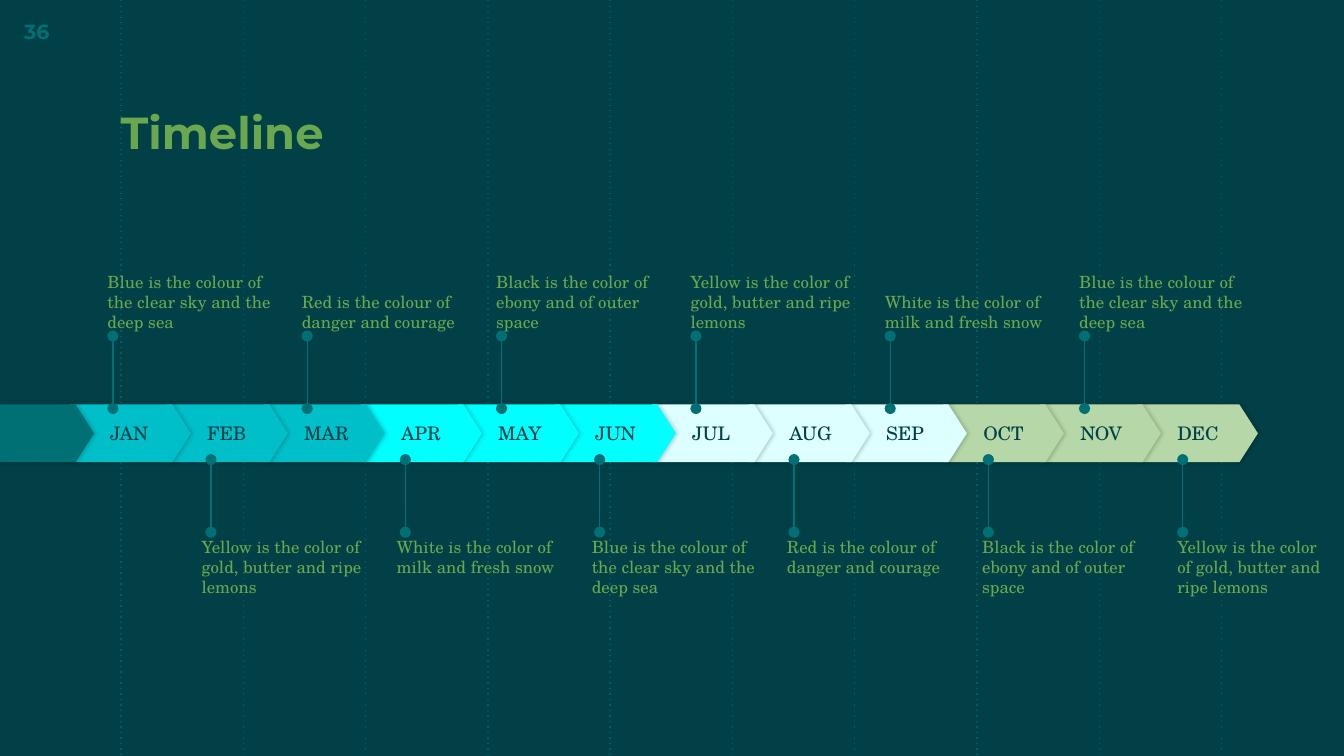
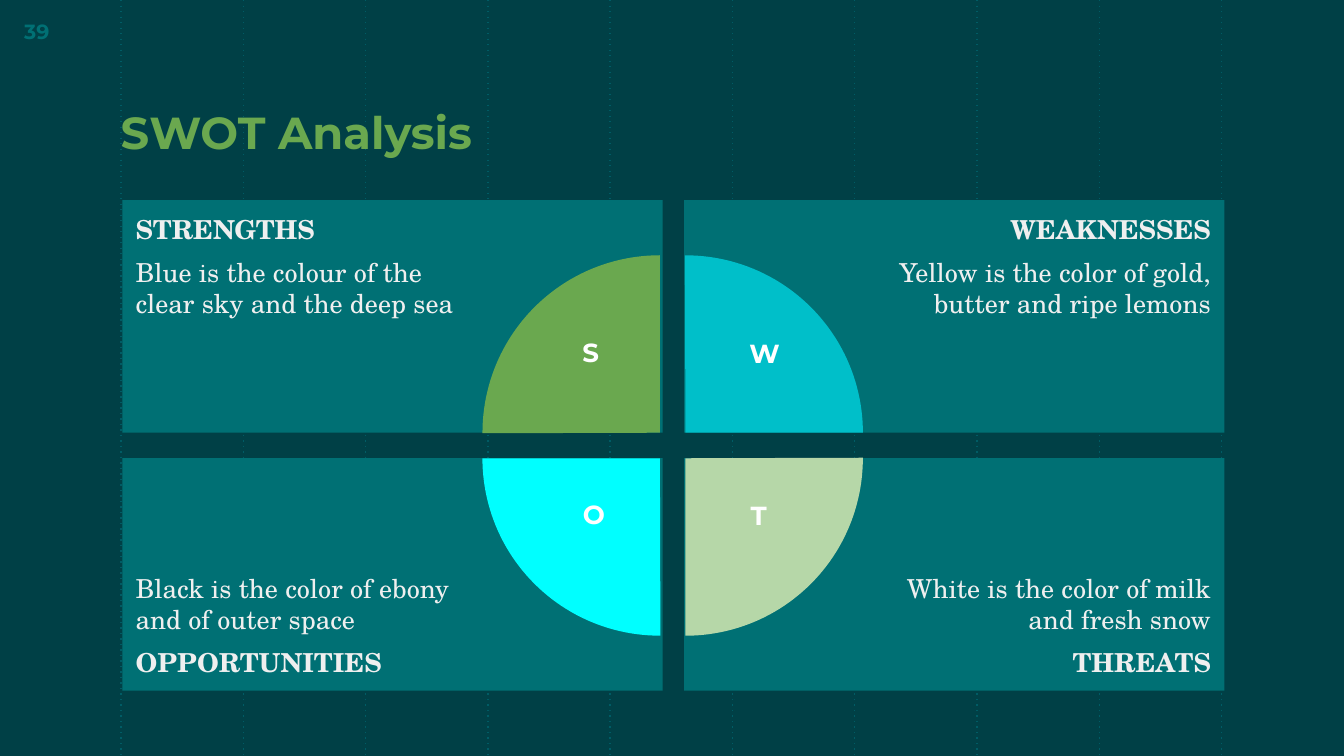
import pptx
import pptx.util
import pptx.dml.color
import pptx.enum.shapes
import pptx.enum.text
import pptx.oxml.ns
from lxml import etree

Inches = pptx.util.Inches
Pt = pptx.util.Pt
Shape = pptx.enum.shapes.MSO_SHAPE
Align = pptx.enum.text.PP_ALIGN
Anchor = pptx.enum.text.MSO_ANCHOR
qn = pptx.oxml.ns.qn

INK = {
    "back": "004046", "grid": "005C65", "teal": "007074", "green": "6AA84F",
    "blue": "00BFC9", "cyan": "00FFFF", "ice": "DDFFFF", "sage": "B6D7A8",
    "pale": "EFEFEF", "white": "FFFFFF",
}
HEAD = "Montserrat"
BODY = "TeX Gyre Schola"

BLUE = "Blue is the colour of the clear sky and the deep sea"
RED = "Red is the colour of danger and courage"
BLACK = "Black is the color of ebony and of outer space"
YELLOW = "Yellow is the color of gold, butter and ripe lemons"
WHITE = "White is the color of milk and fresh snow"


def color(name):
    return pptx.dml.color.RGBColor.from_string(INK[name])


def spread(first, last, count):
    return [first + (last - first) * i / (count - 1) for i in range(count)]


def write(frame, *lines, size=9, font=BODY, ink="green", bold=(), align=Align.LEFT,
          anchor=Anchor.TOP, pad=(0, 0, 0, 0), gap=0):
    frame.word_wrap = True
    frame.vertical_anchor = anchor
    sides = [Inches(side) for side in pad]
    frame.margin_left, frame.margin_top, frame.margin_right, frame.margin_bottom = sides
    for i, line in enumerate(lines):
        para = frame.add_paragraph() if i else frame.paragraphs[0]
        para.alignment = align
        if i:
            para.space_before = para.space_after = Pt(gap)
        run = para.add_run()
        run.text = line
        run.font.size = Pt(size)
        run.font.name = font
        run.font.bold = line in bold
        run.font.color.rgb = color(ink)


class Deck:
    def __init__(self):
        self.file = pptx.Presentation()
        self.file.slide_width = Inches(10)
        self.file.slide_height = Inches(10) * 9 // 16
        self.slide = None

    def page(self, title, number):
        self.slide = self.file.slides.add_slide(self.file.slide_layouts[6])
        fill = self.slide.background.fill
        fill.solid()
        fill.fore_color.rgb = color("back")
        for x in spread(0.9, 9.09, 10):
            self.line(x, 0, 5.62, "grid", dash="dot")
        self.text(0.8, 0.52, 6.47, 0.76, title, size=24, font=HEAD, bold=[title],
                  anchor=Anchor.BOTTOM, pad=(0.1, 0.1, 0.1, 0.1))
        self.text(0.18, 0.09, 0.5, 0.28, number, size=11, font=HEAD, bold=[number],
                  ink="teal", anchor=Anchor.MIDDLE)

    def text(self, x, y, w, h, *lines, **style):
        box = self.slide.shapes.add_textbox(Inches(x), Inches(y), Inches(w), Inches(h))
        write(box.text_frame, *lines, **style)

    def line(self, x, top, end, ink, dash=None, dots=False):
        link = self.slide.shapes.add_connector(
            pptx.enum.shapes.MSO_CONNECTOR.STRAIGHT,
            Inches(x), Inches(top), Inches(x), Inches(end))
        link.line.width = Pt(0.75)
        link.line.color.rgb = color(ink)
        props = link.element.spPr
        edge = props.find(qn("a:ln"))
        if dash:
            etree.SubElement(edge, qn("a:prstDash"), val=dash)
        if dots:
            for tag in ("a:headEnd", "a:tailEnd"):
                etree.SubElement(edge, qn(tag), type="oval")
        etree.SubElement(props, qn("a:effectLst"))

    def shape(self, kind, x, y, w, h, ink, adjust=(), turn=0, shade=False):
        item = self.slide.shapes.add_shape(kind, Inches(x), Inches(y), Inches(w), Inches(h))
        item.fill.solid()
        item.fill.fore_color.rgb = color(ink)
        item.line.fill.background()
        item.shadow.inherit = False
        item.rotation = turn
        for i, value in enumerate(adjust):
            item.adjustments[i] = value
        if shade:
            self.shade(item)
        return item

    def shade(self, item):
        effects = item.element.spPr.find(qn("a:effectLst"))
        outer = etree.SubElement(effects, qn("a:outerShdw"), blurRad=str(Pt(2.2)),
                                 dist=str(Pt(0.8)), dir="0", algn="bl", rotWithShape="0")
        black = etree.SubElement(outer, qn("a:srgbClr"), val="000000")
        etree.SubElement(black, qn("a:alpha"), val="20000")

    def month(self, x, w, ink, name=None):
        item = self.shape(Shape.PENTAGON, x, 3.01, w, 0.43, ink, [0.32], shade=True)
        if name:
            write(item.text_frame, name, size=10, ink="back",
                  anchor=Anchor.MIDDLE, pad=(0.3, 0, 0, 0))


def timeline(deck):
    deck.page("Timeline", "36")
    names = "JAN FEB MAR APR MAY JUN JUL AUG SEP OCT NOV DEC".split()
    inks = ("blue", "cyan", "ice", "sage")
    starts = spread(0.52, 8.46, 12)
    for i in reversed(range(12)):
        deck.month(starts[i], 0.9, inks[i // 3], names[i])
    deck.month(0, 0.7, "teal")

    above = (BLUE, RED, BLACK, YELLOW, WHITE, BLUE)
    for pin, x, note in zip(spread(0.84, 8.07, 6), spread(0.8, 8.03, 6), above):
        deck.line(pin, 3.04, 2.5, "teal", dots=True)
        deck.text(x, 1.89, 1.36, 0.58, note, anchor=Anchor.BOTTOM)

    below = (YELLOW, WHITE, BLUE, RED, BLACK, YELLOW)
    for pin, x, note in zip(spread(1.57, 8.8, 6), spread(1.5, 8.76, 6), below):
        deck.line(pin, 3.96, 3.42, "teal", dots=True)
        deck.text(x, 3.99, min(1.36, 9.89 - x), 0.58, note)


def swot(deck):
    deck.page("SWOT Analysis", "39")
    left, right = (0.1, 0.1, 1.5, 0.1), (1.5, 0.1, 0.1, 0.1)
    panels = (
        (0.91, 1.49, "STRENGTHS", BLUE),
        (5.09, 1.49, "WEAKNESSES", YELLOW),
        (0.91, 3.41, "OPPORTUNITIES", BLACK),
        (5.09, 3.41, "THREATS", WHITE),
    )
    for x, y, name, note in panels:
        west, north = x < 5, y < 3
        card = deck.shape(Shape.RECTANGLE, x, y, 4.02, 1.73, "teal")
        write(card.text_frame, *((name, note) if north else (note, name)),
              size=14, ink="pale", bold=[name], gap=6,
              align=Align.LEFT if west else Align.RIGHT,
              anchor=Anchor.TOP if north else Anchor.BOTTOM,
              pad=left if west else right)

    wedges = ((3.59, 1.9, "green"), (3.78, 1.9, "blue"),
              (3.78, 2.09, "sage"), (3.59, 2.09, "cyan"))
    for i, (x, y, ink) in enumerate(wedges):
        deck.shape(Shape.PIE, x, y, 2.64, 2.64, ink, [107.89, 162], turn=90 * i)

    marks = (("S", 4.2, 2.45, 0.39), ("W", 5.31, 2.46, 0.76),
             ("O", 4.16, 3.66, 0.52), ("T", 5.44, 3.67, 0.41))
    for mark, x, y, w in marks:
        deck.text(x, y, w, 0.48, mark, size=14, font=HEAD, ink="white", bold=[mark],
                  align=Align.CENTER, pad=(0.1, 0.05, 0.1, 0.05))


def main():
    deck = Deck()
    timeline(deck)
    swot(deck)
    deck.file.save("out.pptx")


if __name__ == "__main__":
    main()
